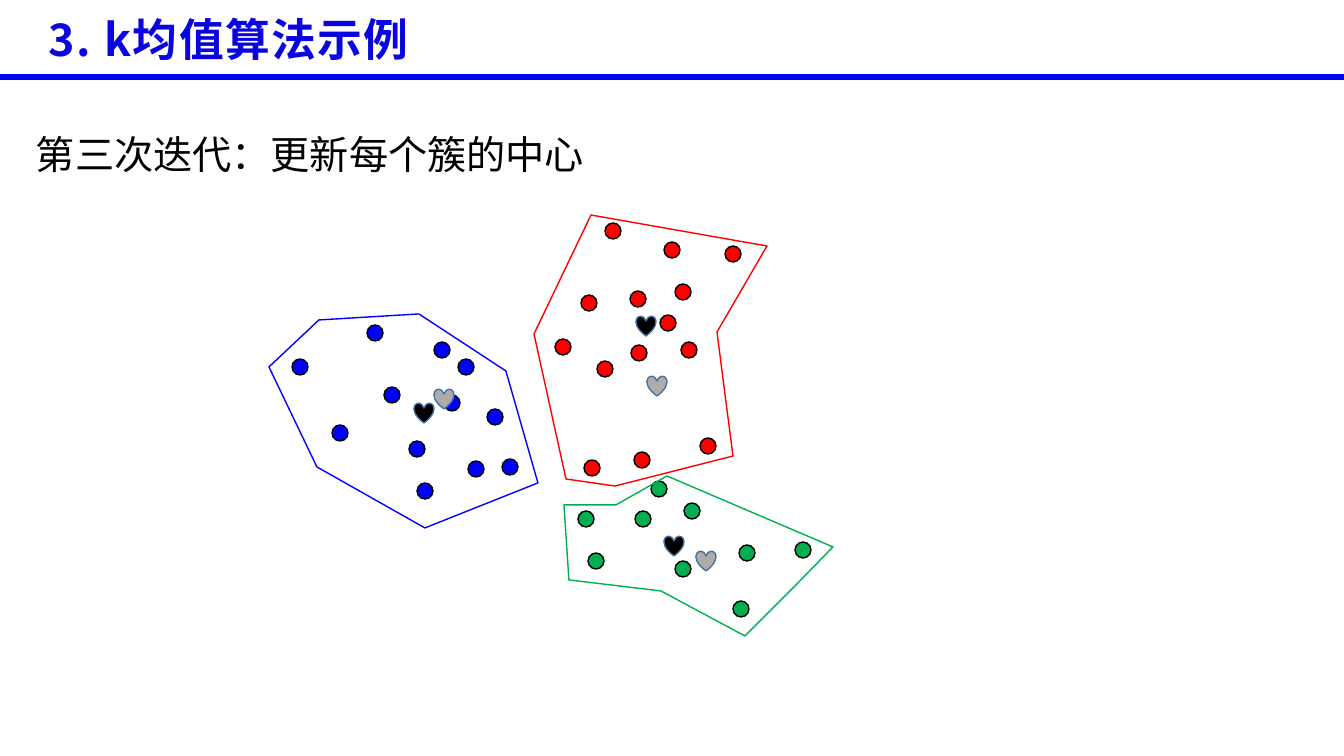
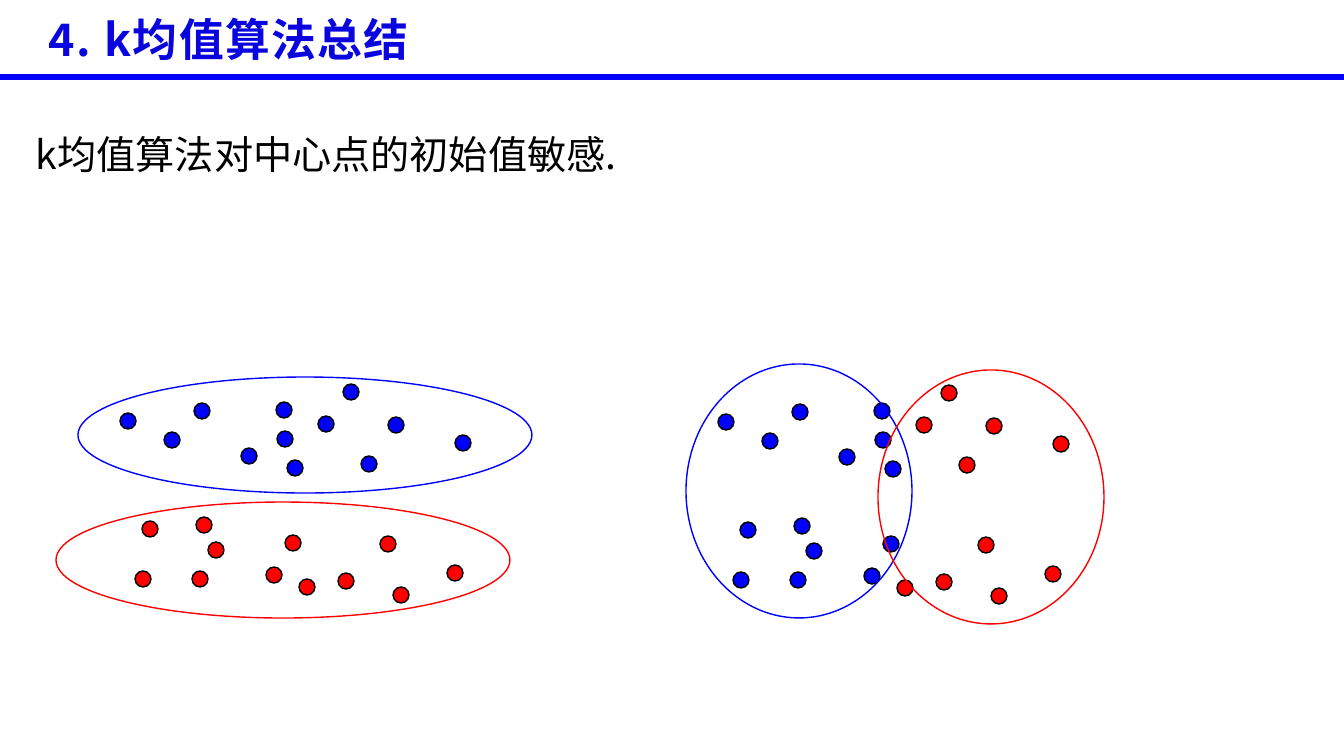
"""Build two slides on the k-means algorithm: one iteration, and sensitivity to the start."""
import pptx
import pptx.dml.color
import pptx.enum.shapes
import pptx.enum.text
import pptx.oxml.ns
import pptx.util
from lxml import etree

PX = 12192000 / 1344
FONT = "Noto Sans CJK SC"
BLUE, RED, GREEN = "0000FF", "FF0000", "00B050"
BLACK, GREY, HEART_EDGE, TITLE_BLUE = "000000", "AFABAB", "43739E", "0A05DF"
DOT = pptx.enum.shapes.MSO_SHAPE.FLOWCHART_CONNECTOR
HEART = pptx.enum.shapes.MSO_SHAPE.HEART
OVAL = pptx.enum.shapes.MSO_SHAPE.OVAL


def px(length):
    return pptx.util.Emu(round(length * PX))


def paint(fill, colour):
    if colour is None:
        fill.background()
    else:
        fill.solid()
        fill.fore_color.rgb = pptx.dml.color.RGBColor.from_string(colour)


deck = pptx.Presentation()
deck.slide_width, deck.slide_height = px(1344), px(756)

slides = []
for title, statement in [
    ("3. k均值算法示例", "第三次迭代：更新每个簇的中心"),
    ("4. k均值算法总结", "k均值算法对中心点的初始值敏感."),
]:
    slide = deck.slides.add_slide(deck.slide_layouts[6])
    slides.append(slide)
    for words, box, size, colour, bold, line_spacing, tracking in [
        (statement, (26, 102, 1124, 73), 28, BLACK, False, 1.5, 0),
        (title, (39, 7, 840, 65), 32, TITLE_BLUE, True, 1, 100),
    ]:
        frame = slide.shapes.add_textbox(*map(px, box)).text_frame
        frame.word_wrap = True
        frame.auto_size = pptx.enum.text.MSO_AUTO_SIZE.SHAPE_TO_FIT_TEXT
        frame.text = words
        paragraph = frame.paragraphs[0]
        paragraph.line_spacing = line_spacing
        font = paragraph.runs[0].font
        font.size, font.bold, font.name = pptx.util.Pt(size), bold, FONT
        paint(font.fill, colour)
        properties = paragraph.runs[0]._r.get_or_add_rPr()
        properties.set("spc", str(tracking))
        etree.SubElement(properties, pptx.oxml.ns.qn("a:ea"), typeface=FONT)
    rule = slide.shapes.add_connector(
        pptx.enum.shapes.MSO_CONNECTOR.STRAIGHT, 0, px(77), px(1344), px(77))
    rule.line.width = pptx.util.Pt(4)
    paint(rule.line.fill, BLUE)
    etree.SubElement(rule._element.spPr, pptx.oxml.ns.qn("a:effectLst"))

example, summary = slides

blue_cluster = [(375, 333), (392, 395), (466, 367), (425, 491), (442, 350), (495, 417),
                (476, 469), (452, 403), (510, 467), (300, 367), (340, 433), (417, 449)]
red_cluster = [(638, 299), (613, 231), (683, 292), (689, 350), (642, 460), (708, 446), (589, 303),
               (605, 369), (563, 347), (639, 353), (592, 468), (668, 323), (672, 250), (733, 254)]
green_cluster = [(586, 519), (659, 489), (692, 511), (683, 569), (596, 561),
                 (643, 519), (747, 553), (741, 609), (803, 550)]
old_centres = [(444, 399), (657, 386), (706, 561)]
new_centres = [(424, 413), (646, 326), (674, 546)]

upper_left = [(285, 439), (202, 411), (295, 468), (284, 410), (128, 421), (172, 440), (249, 456)]
upper_right = [(369, 464), (351, 392), (326, 424), (396, 425), (463, 443)]
lower_left = [(143, 579), (204, 525), (216, 550), (150, 529), (274, 575), (293, 543), (200, 579)]
lower_right = [(388, 544), (346, 581), (401, 595), (307, 587), (455, 573)]
second_left, second_right = (
    [(x + 598, y + 1) for x, y in half]
    for half in (upper_left + lower_left, upper_right + lower_right))

for slide, preset, centres, width, height, fill, edge in [
    (example, DOT, blue_cluster, 16, 16, BLUE, BLACK),
    (example, DOT, red_cluster, 16, 16, RED, BLACK),
    (example, DOT, green_cluster, 16, 16, GREEN, BLACK),
    (example, HEART, old_centres, 20, 20, GREY, HEART_EDGE),
    (example, HEART, new_centres, 20, 20, BLACK, HEART_EDGE),
    (summary, DOT, upper_left + upper_right, 16, 16, BLUE, BLACK),
    (summary, DOT, lower_left + lower_right, 16, 16, RED, BLACK),
    (summary, DOT, second_left, 16, 16, BLUE, BLACK),
    (summary, DOT, second_right, 16, 16, RED, BLACK),
    (summary, OVAL, [(305, 435)], 454, 116, None, BLUE),
    (summary, OVAL, [(283, 560)], 454, 116, None, RED),
    (summary, OVAL, [(799, 491)], 226, 254, None, BLUE),
    (summary, OVAL, [(991, 497)], 226, 254, None, RED),
]:
    for x, y in centres:
        mark = slide.shapes.add_shape(
            preset, px(x - width / 2), px(y - height / 2), px(width), px(height))
        mark.shadow.inherit = False
        mark.line.width = pptx.util.Pt(1)
        paint(mark.fill, fill)
        paint(mark.line.fill, edge)

for colour, corners in [
    (BLUE, [(319, 320), (269, 367), (317, 467), (425, 528), (538, 483), (506, 371), (419, 314)]),
    (RED, [(591, 215), (534, 334), (566, 479), (615, 486), (733, 456), (717, 332), (767, 246)]),
    (GREEN, [(616, 505), (564, 505), (569, 580), (661, 591),
             (745, 636), (795, 586), (833, 547), (667, 476)]),
]:
    builder = example.shapes.build_freeform(*corners[0], scale=PX)
    builder.add_line_segments(corners[1:], close=True)
    boundary = builder.convert_to_shape()
    boundary.shadow.inherit = False
    boundary.line.width = pptx.util.Pt(1)
    paint(boundary.fill, None)
    paint(boundary.line.fill, colour)

deck.save("out.pptx")
